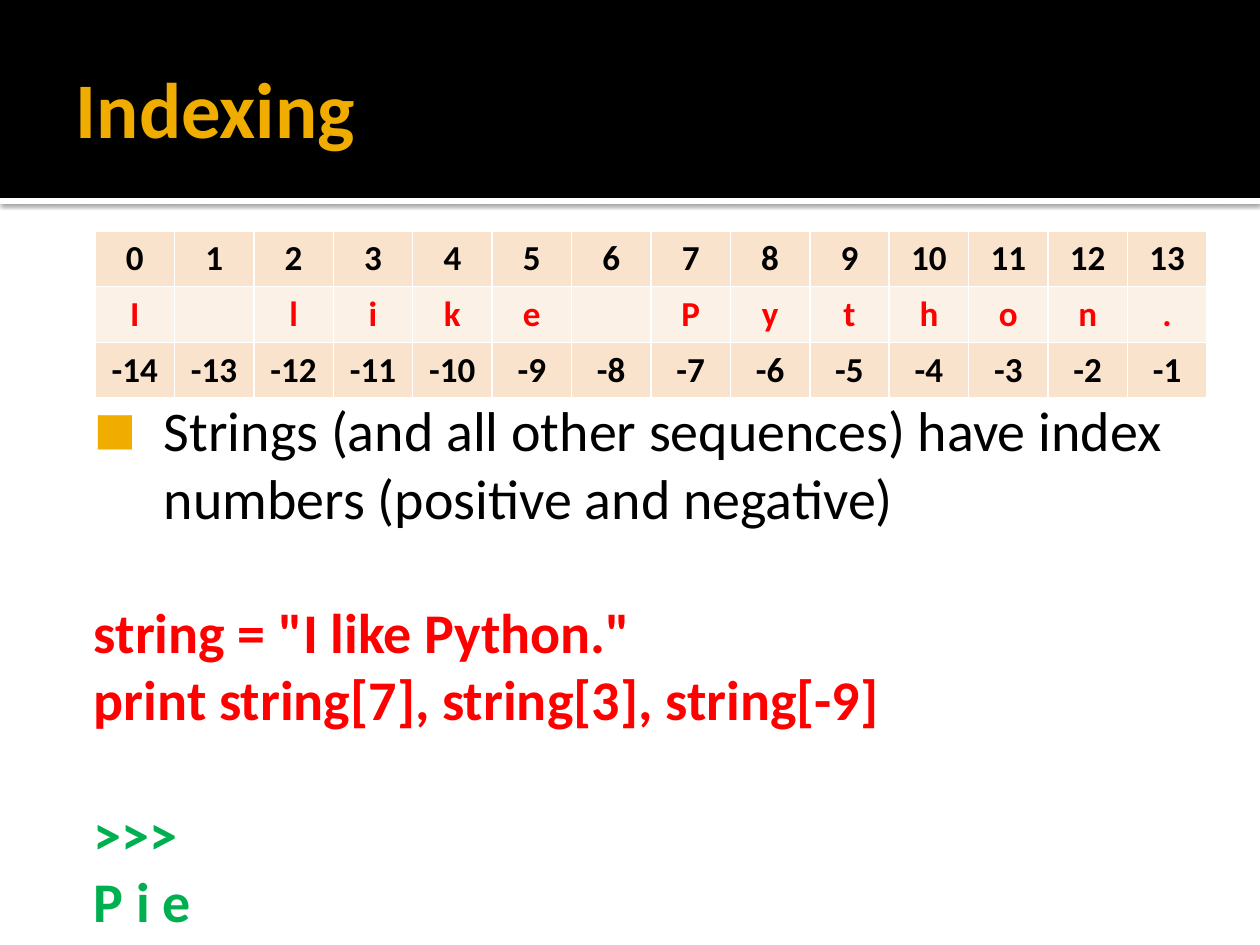
from dataclasses import dataclass

from lxml import etree
from pptx import Presentation
from pptx import util as u
from pptx.dml.color import RGBColor
from pptx.enum import shapes, text
from pptx.oxml import ns

SCALE = 914400 / 126
SENTENCE = "I like Python."


@dataclass(frozen=True)
class Theme:
    font: str = "Calibri"
    title_size: int = 45
    body_size: int = 32
    cell_size: int = 20
    line_pitch: float = 38.4
    accent: str = "F0AD00"
    black: str = "000000"
    white: str = "FFFFFF"
    code: str = "FF0000"
    output: str = "00B050"
    index_fill: str = "F9E3CC"
    letter_fill: str = "FCF1E7"


@dataclass(frozen=True)
class Box:
    left: int
    top: int
    width: int
    height: int

    def emu(self) -> tuple[u.Emu, ...]:
        return tuple(map(px, (self.left, self.top, self.width, self.height)))


@dataclass(frozen=True)
class Band:
    box: Box
    color: str
    casts_shadow: bool = False


@dataclass(frozen=True)
class Line:
    wording: str
    color: str
    bold: bool = True
    bullet: bool = False
    gap_before: bool = False


@dataclass(frozen=True)
class IndexRow:
    values: list[str]
    fill: str
    color: str


THEME = Theme()
BANDS = [
    Band(Box(0, 198, 1260, 6), THEME.white, casts_shadow=True),
    Band(Box(0, 0, 1260, 198), THEME.black),
]
LINES = [
    Line("Strings (and all other sequences) have index numbers (positive and negative)",
         THEME.black, bold=False, bullet=True),
    Line(f'string = "{SENTENCE}"', THEME.code, gap_before=True),
    Line("print string[7], string[3], string[-9]", THEME.code),
    Line(">>>", THEME.output, gap_before=True),
    Line("P i e", THEME.output),
]
COUNT = len(SENTENCE)
ROWS = [
    IndexRow([str(i) for i in range(COUNT)], THEME.index_fill, THEME.black),
    IndexRow([letter.strip() for letter in SENTENCE], THEME.letter_fill, THEME.code),
    IndexRow([str(i - COUNT) for i in range(COUNT)], THEME.index_fill, THEME.black),
]


def px(length: int) -> u.Emu:
    return u.Emu(round(length * SCALE))


def add_node(parent, tag: str, **attributes):
    return etree.SubElement(parent, ns.qn(tag), attributes)


def write(paragraph, wording: str, *, size: int, color: str, bold: bool = True,
          align=text.PP_ALIGN.LEFT) -> None:
    paragraph.alignment = align
    if not wording:
        return
    run = paragraph.add_run()
    run.text = wording
    run.font.name = THEME.font
    run.font.size = u.Pt(size)
    run.font.bold = bold
    run.font.color.rgb = RGBColor.from_string(color)


def add_text_frame(slide, box: Box, margins: tuple[int, int, int, int], anchor):
    frame = slide.shapes.add_textbox(*box.emu()).text_frame
    frame.word_wrap = True
    frame.vertical_anchor = anchor
    (frame.margin_left, frame.margin_top,
     frame.margin_right, frame.margin_bottom) = map(px, margins)
    return frame


def add_band(slide, band: Band) -> None:
    shape = slide.shapes.add_shape(shapes.MSO_SHAPE.RECTANGLE, *band.box.emu())
    shape.fill.solid()
    shape.fill.fore_color.rgb = RGBColor.from_string(band.color)
    shape.line.fill.background()
    shape.shadow.inherit = False
    if band.casts_shadow:
        effects = shape._element.spPr.find(ns.qn("a:effectLst"))
        shadow = add_node(effects, "a:outerShdw", blurRad=str(u.Pt(2.5)),
                          dist=str(u.Pt(0.8)), dir="5400000", rotWithShape="0")
        color = add_node(shadow, "a:srgbClr", val=THEME.black)
        add_node(color, "a:alpha", val="60000")


def indent(paragraph, bullet: bool) -> None:
    properties = paragraph._p.get_or_add_pPr()
    properties.set("marL", str(px(93 if bullet else 23)))
    properties.set("indent", str(px(-70 if bullet else 0)))
    if bullet:
        color = add_node(properties, "a:buClr")
        add_node(color, "a:srgbClr", val=THEME.accent)
        add_node(properties, "a:buSzPct", val="80000")
        add_node(properties, "a:buFont", typeface=THEME.font)
        add_node(properties, "a:buChar", char="■")


def add_body(slide, box: Box, lines: list[Line]) -> None:
    frame = add_text_frame(slide, box, (8, 0, 13, 0), text.MSO_ANCHOR.TOP)
    for number, line in enumerate(lines):
        paragraph = frame.add_paragraph() if number else frame.paragraphs[0]
        paragraph.line_spacing = u.Pt(THEME.line_pitch)
        paragraph.space_before = u.Pt(THEME.line_pitch if line.gap_before else 0)
        indent(paragraph, line.bullet)
        write(paragraph, line.wording, size=THEME.body_size, color=line.color,
              bold=line.bold)


def add_borders(cell) -> None:
    properties = cell._tc.get_or_add_tcPr()
    for position, side in enumerate(("a:lnL", "a:lnR", "a:lnT", "a:lnB")):
        border = add_node(properties, side, w=str(u.Pt(1)))
        fill = add_node(border, "a:solidFill")
        add_node(fill, "a:srgbClr", val=THEME.white)
        properties.insert(position, border)


def add_index_table(slide, box: Box, rows: list[IndexRow]) -> None:
    table = slide.shapes.add_table(len(rows), COUNT, *box.emu()).table
    table.first_row = False
    table.horz_banding = False
    for row, cells in zip(rows, table.rows):
        for value, cell in zip(row.values, cells.cells):
            cell.fill.solid()
            cell.fill.fore_color.rgb = RGBColor.from_string(row.fill)
            cell.vertical_anchor = text.MSO_ANCHOR.MIDDLE
            add_borders(cell)
            write(cell.text_frame.paragraphs[0], value, size=THEME.cell_size,
                  color=row.color, align=text.PP_ALIGN.CENTER)


def main() -> None:
    presentation = Presentation()
    presentation.slide_width = px(1260)
    presentation.slide_height = px(945)
    slide = presentation.slides.add_slide(presentation.slide_layouts[6])
    for band in BANDS:
        add_band(slide, band)
    title = add_text_frame(slide, Box(63, 21, 1134, 173), (13, 6, 6, 6),
                           text.MSO_ANCHOR.MIDDLE)
    write(title.paragraphs[0], "Indexing", size=THEME.title_size, color=THEME.accent)
    add_body(slide, Box(63, 396, 1187, 540), LINES)
    add_index_table(slide, Box(95, 231, 1112, 167), ROWS)
    presentation.save("out.pptx")


if __name__ == "__main__":
    main()
